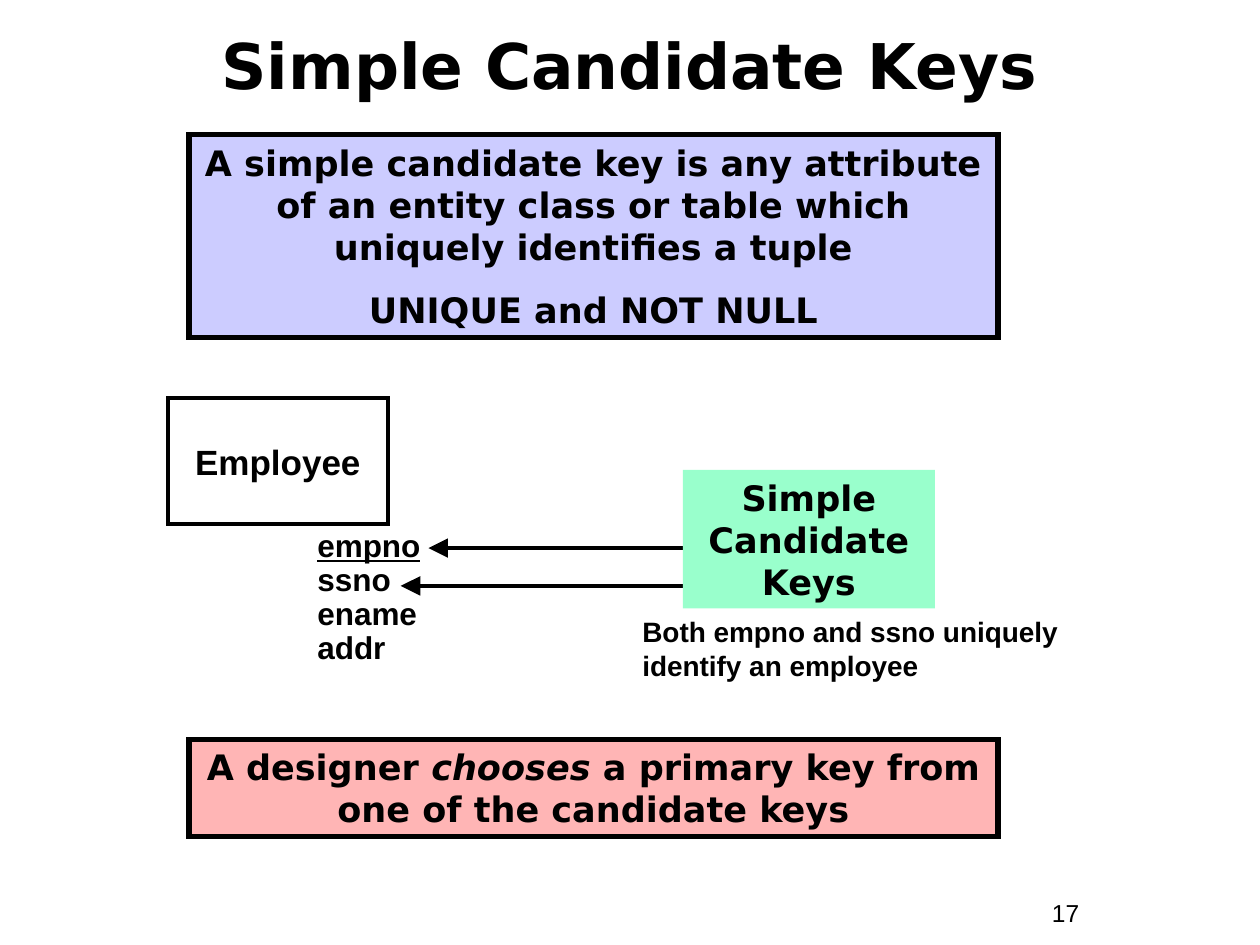
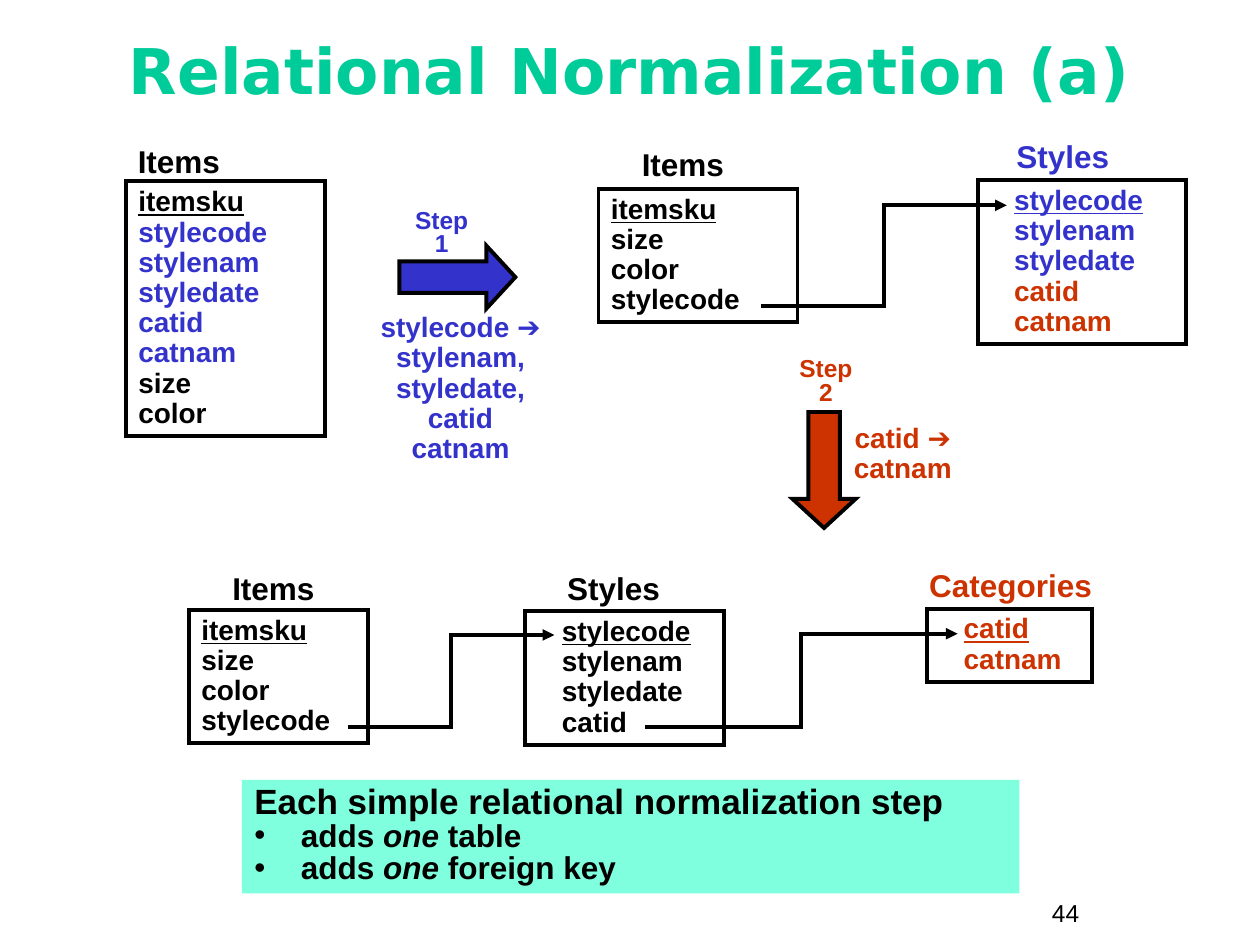
"""Build two database slides: simple candidate keys and relational normalization."""
from lxml import etree
from pptx import Presentation
from pptx import util as u
from pptx.dml.color import RGBColor
from pptx.enum import shapes, text
from pptx.oxml import ns

BLACK = RGBColor(0x00, 0x00, 0x00)
GREEN = RGBColor(0x00, 0xCC, 0x99)
BLUE = RGBColor(0x33, 0x33, 0xCC)
RED = RGBColor(0xCC, 0x33, 0x00)
MINT = RGBColor(0x99, 0xFF, 0xCC)
LAVENDER = RGBColor(0xCC, 0xCC, 0xFF)
PINK = RGBColor(0xFF, 0xB5, 0xB5)
AQUA = RGBColor(0x7F, 0xFF, 0xDD)
BODY_FONT = "Arial"
HEAD_FONT = "DejaVu Sans"
CENTER = text.PP_ALIGN.CENTER
LEFT = text.PP_ALIGN.LEFT
MIDDLE = text.MSO_ANCHOR.MIDDLE
TOP = text.MSO_ANCHOR.TOP


def add_text(slide, at, paragraphs, size, font=BODY_FONT, color=BLACK, align=LEFT, anchor=TOP,
             spacing=1.0, before=0, indent=0, fill=None, border=None, wrap=True, bold=True):
    """Add a box of paragraphs, each a list of (text, style) runs; style holds u, i, size or color."""
    place = [u.Inches(length) for length in at]
    if fill is None and border is None:
        box = slide.shapes.add_textbox(*place)
    else:
        box = slide.shapes.add_shape(shapes.MSO_SHAPE.RECTANGLE, *place)
        box.shadow.inherit = False
        if fill is None:
            box.fill.background()
        else:
            box.fill.solid()
            box.fill.fore_color.rgb = fill
        if border is None:
            box.line.fill.background()
        else:
            box.line.color.rgb = BLACK
            box.line.width = u.Pt(border)
            etree.SubElement(box.line._get_or_add_ln(), ns.qn("a:miter"), lim="800000")
    frame = box.text_frame
    frame.word_wrap = wrap
    frame.vertical_anchor = anchor
    if not wrap:
        frame.margin_left = frame.margin_right = 0
    for index, runs in enumerate(paragraphs):
        paragraph = frame.add_paragraph() if index else frame.paragraphs[0]
        paragraph.alignment = align
        paragraph.line_spacing = spacing
        if index and before:
            paragraph.space_before = u.Pt(before)
        if indent:
            paragraph._p.get_or_add_pPr().set("marL", str(u.Inches(indent)))
        for words, style in runs:
            for number, line in enumerate(words.split("\n")):
                if number:
                    paragraph.add_line_break()
                run = paragraph.add_run()
                run.text = line
                run.font.name = font
                run.font.size = u.Pt(style.get("size", size))
                run.font.bold = bold
                run.font.italic = style.get("i", False)
                run.font.underline = style.get("u", False)
                run.font.color.rgb = style.get("color", color)
    return box


def add_arrow(slide, kind, start, end, head):
    """Add a black connector with a triangular head at its end."""
    arrow = slide.shapes.add_connector(kind, *[u.Inches(length) for length in start + end])
    arrow.line.color.rgb = BLACK
    arrow.line.width = u.Pt(2.25)
    outline = arrow.line._get_or_add_ln()
    etree.SubElement(outline, ns.qn("a:miter"), lim="800000")
    etree.SubElement(outline, ns.qn("a:tailEnd"), type="triangle", w=head, len=head)
    etree.SubElement(arrow._element.spPr, ns.qn("a:effectLst"))


deck = Presentation()
deck.slide_width = u.Inches(10)
deck.slide_height = u.Inches(7.5)

pages = []
for heading, color, top, number in [
    ("Simple Candidate Keys", BLACK, 0.1, "17"),
    ("Relational Normalization (a)", GREEN, 0.14, "44"),
]:
    page = deck.slides.add_slide(deck.slide_layouts[5])
    title = page.shapes.title
    title.left, title.top, title.width, title.height = [u.Inches(x) for x in (0.33, top, 9.33, 0.92)]
    title.text_frame.auto_size = text.MSO_AUTO_SIZE.NONE
    title.text_frame.vertical_anchor = MIDDLE
    line = title.text_frame.paragraphs[0]
    line.alignment = CENTER
    line.line_spacing = 0.85
    run = line.add_run()
    run.text = heading
    run.font.name = HEAD_FONT
    run.font.size = u.Pt(36)
    run.font.bold = True
    run.font.color.rgb = color
    add_text(page, (8.25, 7.08, 0.92, 0.34), [[(number, {})]], 14, bold=False)
    pages.append(page)
keys, normalization = pages

add_text(keys, (1.33, 3.16, 1.75, 1), [[("Employee", {})]], 20,
         align=CENTER, anchor=MIDDLE, border=2.25, wrap=False)
attributes = [("empno", {"u": True}), ("ssno", {}), ("ename", {}), ("addr", {})]
add_text(keys, (2.42, 4.16, 1.67, 1.18), [[attribute] for attribute in attributes], 18, spacing=0.9)
for tip, height in [(3.4, 4.35), (3.18, 4.65)]:
    add_arrow(keys, shapes.MSO_CONNECTOR.STRAIGHT, (5.5, height), (tip, height), "lg")

definition = [
    [("A simple candidate key is any attribute of an entity class or table "
      "which uniquely identifies a tuple", {})],
    [("UNIQUE and NOT NULL", {})],
]
choice = [[("A designer ", {}), ("chooses", {"i": True}),
           (" a primary key from one of the candidate keys", {})]]
for at, paragraphs, fill, border in [
    ((5.42, 3.73, 2, 1.1), [[("Simple Candidate\nKeys", {})]], MINT, None),
    ((1.5, 1.07, 6.42, 1.61), definition, LAVENDER, 3),
    ((1.5, 5.87, 6.42, 0.77), choice, PINK, 3),
]:
    add_text(keys, at, paragraphs, 20, font=HEAD_FONT, align=CENTER, before=12.5,
             fill=fill, border=border)
add_text(keys, (5, 4.83, 3.5, 0.64),
         [[("Both empno and ssno uniquely identify an employee", {})]], 16)

tables = [
    ("Styles", BLACK, (4.33, 4.5, 1.08, 0.34), (4.17, 4.85, 1.58, 1.06), 0.19,
     [("stylecode stylenam styledate catid", BLACK)]),
    ("Items", BLACK, (1.67, 4.45, 1, 0.43), (1.5, 4.84, 1.42, 1.06), 0,
     [("itemsku size color stylecode", BLACK)]),
    ("Categories", RED, (7.31, 4.31, 1.42, 0.67), (7.36, 4.83, 1.31, 0.58), 0.19,
     [("catid catnam", RED)]),
    ("Items", BLACK, (0.92, 0.94, 1, 0.67), (1, 1.44, 1.58, 2.02), 0,
     [("itemsku", BLACK), ("stylecode stylenam styledate catid catnam", BLUE), ("size color", BLACK)]),
    ("Items", BLACK, (4.92, 0.97, 1, 0.67), (4.75, 1.5, 1.58, 1.06), 0,
     [("itemsku size color stylecode", BLACK)]),
    ("Styles", BLUE, (7.88, 1.07, 1.11, 0.33), (7.76, 1.43, 1.65, 1.3), 0.19,
     [("stylecode stylenam styledate", BLUE), ("catid catnam", RED)]),
]
for name, color, label_at, table_at, indent, groups in tables:
    add_text(normalization, label_at, [[(name, {})]], 18, color=color,
             align=CENTER, anchor=MIDDLE, wrap=False)
    columns = [(column, shade) for names, shade in groups for column in names.split()]
    rows = [[(column, {"u": index == 0, "color": shade})]
            for index, (column, shade) in enumerate(columns)]
    add_text(normalization, table_at, rows, 16, spacing=0.9, indent=indent, border=2.25)

steps = [
    ("Step 1", BLUE, (3.17, 1.95), 0, (3.13, 1.62), (2.82, 2.44, 1.67, 1.3),
     "stylecode ➔ stylenam, styledate,\ncatid\ncatnam"),
    ("Step 2", RED, (6.08, 3.48), 90, (6.18, 2.8), (6.5, 3.32, 1.33, 0.58),
     "catid ➔ catnam"),
]
for step, color, arrow_at, turn, step_at, dependency_at, dependency in steps:
    block = normalization.shapes.add_shape(
        shapes.MSO_SHAPE.RIGHT_ARROW, *[u.Inches(length) for length in arrow_at + (0.92, 0.5)])
    block.shadow.inherit = False
    block.rotation = turn
    block.adjustments[1] = 0.46
    block.fill.solid()
    block.fill.fore_color.rgb = color
    block.line.color.rgb = BLACK
    block.line.width = u.Pt(2.25)
    etree.SubElement(block.line._get_or_add_ln(), ns.qn("a:miter"), lim="800000")
    add_text(normalization, dependency_at, [[(dependency, {})]], 16,
             color=color, align=CENTER, spacing=0.9)
    add_text(normalization, step_at + (0.75, 0.48), [[(step, {})]], 14,
             color=color, align=CENTER, spacing=0.8)

effects = [[("adds ", {"size": 18}), ("one", {"size": 18, "i": True}), (added, {"size": 18})]
           for added in (" table", " foreign key")]
summary = add_text(normalization, (1.92, 6.19, 6.17, 0.9),
                   [[("Each simple relational normalization step", {})]] + effects, 20,
                   spacing=0.85, fill=AQUA)
for effect in summary.text_frame.paragraphs[1:]:
    properties = effect._p.get_or_add_pPr()
    properties.set("marL", str(u.Inches(0.37)))
    properties.set("indent", str(u.Inches(-0.37)))
    etree.SubElement(properties, ns.qn("a:buFont"), typeface=BODY_FONT)
    etree.SubElement(properties, ns.qn("a:buChar"), char="•")

for foreign_key, primary_key in [
    ((6.04, 2.43), (7.99, 1.63)),
    ((2.76, 5.77), (4.4, 5.04)),
    ((5.12, 5.77), (7.6, 5.03)),
]:
    add_arrow(normalization, shapes.MSO_CONNECTOR.ELBOW, foreign_key, primary_key, "med")

deck.save("out.pptx")
